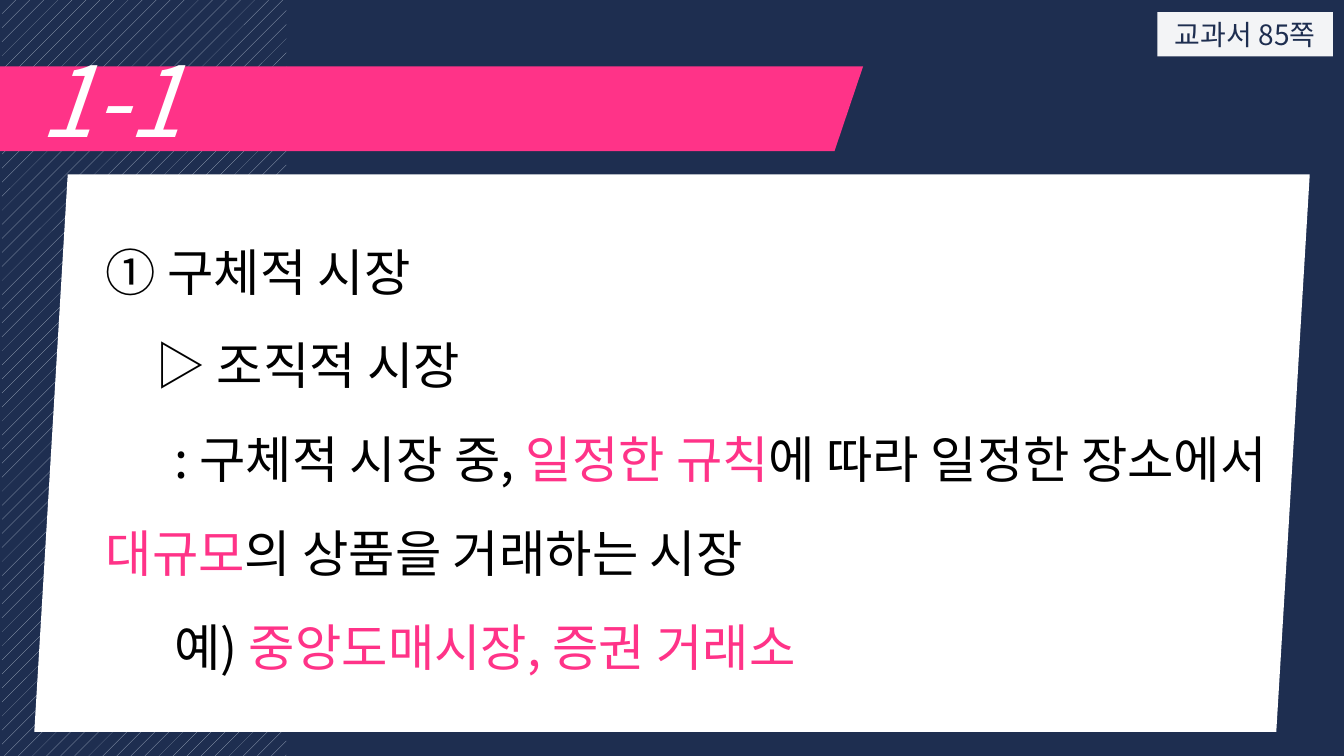
"""Build the textbook slide on organised concrete markets."""
from lxml.etree import SubElement
from pptx import Presentation
from pptx.dml.color import RGBColor
from pptx.enum.dml import MSO_PATTERN
from pptx.enum.shapes import MSO_SHAPE as Shape
from pptx.enum.text import MSO_ANCHOR as Anchor, PP_ALIGN as Align
from pptx.oxml.ns import qn
from pptx.util import Inches, Pt

NAVY = RGBColor(0x1E, 0x2E, 0x50)
PINK = RGBColor(0xFF, 0x33, 0x88)
WHITE = RGBColor(0xFF, 0xFF, 0xFF)
BLACK = RGBColor(0x00, 0x00, 0x00)
MIST = RGBColor(0xAD, 0xB9, 0xCA)
FONT = "Noto Sans CJK KR"

deck = Presentation()
deck.slide_width, deck.slide_height = Inches(13.33), Inches(7.5)
page = deck.slides.add_slide(deck.slide_layouts[6])
page.background.fill.solid()
page.background.fill.fore_color.rgb = NAVY


def add_panel(kind, area, color):
    panel = page.shapes.add_shape(kind, *map(Inches, area))
    panel.shadow.inherit = False
    panel.line.fill.background()
    panel.fill.solid()
    panel.fill.fore_color.rgb = color
    return panel


def add_span(para, text, size, color):
    span = para.add_run()
    span.text = text
    span.font.size = Pt(size)
    span.font.name = FONT
    span.font.color.rgb = color
    SubElement(span.font._element, qn("a:ea"), typeface=FONT)
    return span


stripes = add_panel(Shape.RECTANGLE, (0.02, 0, 2.82, 7.5), NAVY)
stripes.fill.patterned()
stripes.fill.pattern = MSO_PATTERN.PERCENT_5
stripes.fill.fore_color.rgb = MIST
stripes.fill.back_color.rgb = NAVY

banner = add_panel(Shape.PARALLELOGRAM, (-0.32, 0.66, 8.88, 0.84), PINK)
banner.adjustments[0] = 0.337

title = page.shapes.add_textbox(*map(Inches, (0.29, 0.34, 11.84, 1.28))).text_frame
title.word_wrap = True
add_span(title.paragraphs[0], "1-1", 70, WHITE).font.italic = True

card = add_panel(Shape.PARALLELOGRAM, (0.34, 1.73, 12.65, 5.53), WHITE)
card.adjustments[0] = 0.06

label = add_panel(Shape.RECTANGLE, (11.48, 0.12, 1.74, 0.44), WHITE)
tint = label.fill._xPr.find(qn("a:solidFill"))[0]
SubElement(tint, qn("a:alpha"), val="95000")
label.text_frame.word_wrap = True
label.text_frame.vertical_anchor = Anchor.TOP
label.text_frame.paragraphs[0].alignment = Align.CENTER
add_span(label.text_frame.paragraphs[0], "교과서 85쪽", 20, NAVY)

LINES = [
    (0, Align.LEFT, [("① 구체적 시장", BLACK)]),
    (0.49, Align.JUSTIFY, [("▷ 조직적 시장", BLACK)]),
    (0.68, Align.LEFT, [
        (": 구체적 시장 중, ", BLACK),
        ("일정한 규칙", PINK),
        ("에 따라 일정한 장소에서 ", BLACK),
        ("대규모", PINK),
        ("의 상품을 거래하는 시장", BLACK),
    ]),
    (0.68, Align.LEFT, [("예) ", BLACK), ("중앙도매시장, 증권 거래소", PINK)]),
]
body = page.shapes.add_textbox(*map(Inches, (0.95, 2.01, 12.04, 4.71))).text_frame
body.word_wrap = True
for row, (indent, alignment, spans) in enumerate(LINES):
    para = body.add_paragraph() if row else body.paragraphs[0]
    para.alignment = alignment
    para.line_spacing = 1.55
    para._p.get_or_add_pPr().set("indent", str(Inches(indent)))
    for text, color in spans:
        add_span(para, text, 36, color)

deck.save("out.pptx")
